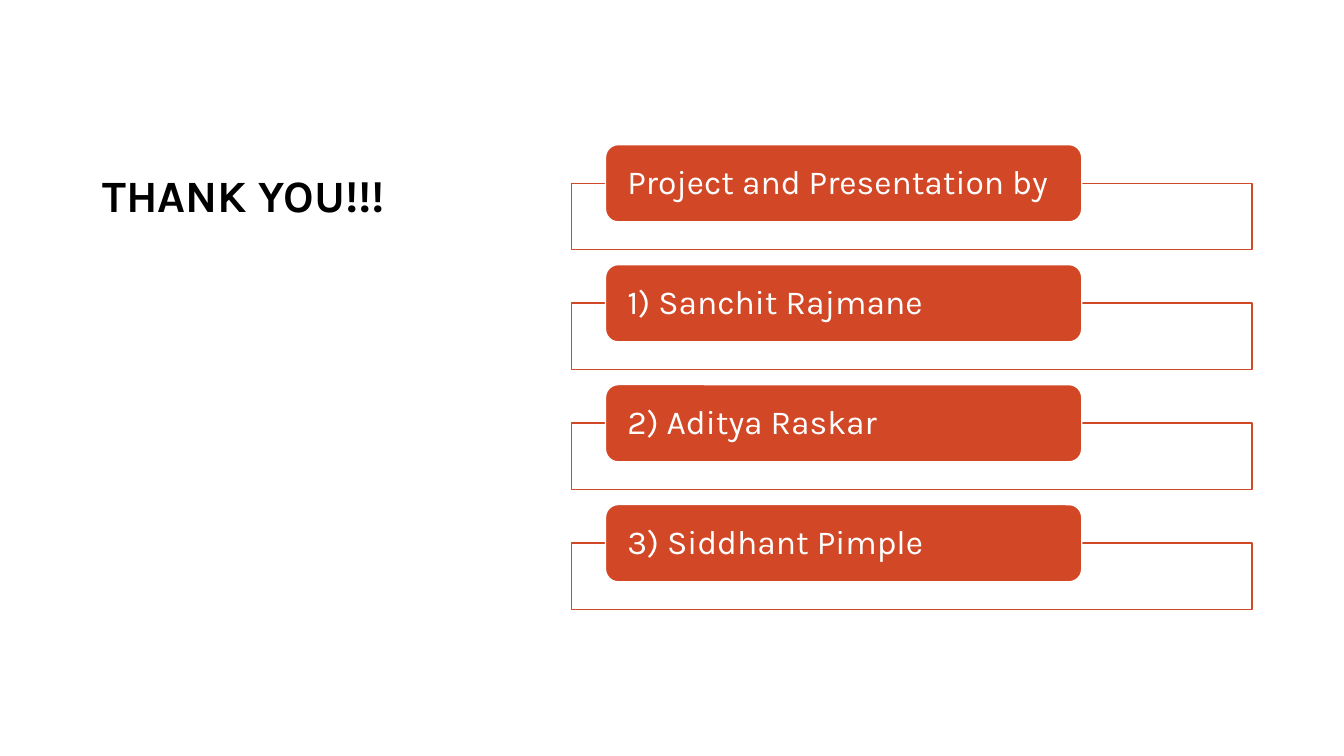
from dataclasses import dataclass

from pptx import Presentation
from pptx.dml.color import RGBColor
from pptx.enum.shapes import MSO_SHAPE
from pptx.enum.text import MSO_ANCHOR, PP_ALIGN
from pptx.util import Pt

RECTANGLE = MSO_SHAPE.RECTANGLE
ROUNDED = MSO_SHAPE.ROUNDED_RECTANGLE
MIDDLE = MSO_ANCHOR.MIDDLE
BOTTOM = MSO_ANCHOR.BOTTOM
LEFT = PP_ALIGN.LEFT


@dataclass(frozen=True)
class Theme:
    font: str = "Karla"
    accent: RGBColor = RGBColor(0xD2, 0x47, 0x26)
    paper: RGBColor = RGBColor(0xFF, 0xFF, 0xFF)
    ink: RGBColor = RGBColor(0, 0, 0)
    title_size: float = 32
    label_size: float = 24
    line_width: float = 1


def write(frame, text, *, font, size, color, bold=False, anchor=MIDDLE,
          side_inset=7.2, end_inset=3.6, space_after=0):
    frame.word_wrap = True
    frame.vertical_anchor = anchor
    frame.margin_left = frame.margin_right = Pt(side_inset)
    frame.margin_top = frame.margin_bottom = Pt(end_inset)
    paragraph = frame.paragraphs[0]
    paragraph.alignment = LEFT
    paragraph.line_spacing = 0.9
    paragraph.space_after = Pt(space_after)
    run = paragraph.add_run()
    run.text = text
    run.font.name = font
    run.font.size = Pt(size)
    run.font.bold = bold
    run.font.color.rgb = color


class SlideBuilder:
    def __init__(self, slide, theme):
        self.slide = slide
        self.theme = theme

    def title(self, text, left, top, width, height):
        heading = self.slide.shapes.add_textbox(
            Pt(left), Pt(top), Pt(width), Pt(height))
        write(heading.text_frame, text, font=self.theme.font,
              size=self.theme.title_size, color=self.theme.ink, bold=True,
              anchor=BOTTOM, space_after=6)

    def panel(self, kind, left, top, width, height, fill, line):
        panel = self.slide.shapes.add_shape(
            kind, Pt(left), Pt(top), Pt(width), Pt(height))
        panel.shadow.inherit = False
        panel.fill.solid()
        panel.fill.fore_color.rgb = fill
        panel.line.color.rgb = line
        panel.line.width = Pt(self.theme.line_width)
        return panel

    def credit(self, text, left, top, width):
        theme = self.theme
        label_height = 55.2
        self.panel(RECTANGLE, left, top, width, 47.5, theme.paper, theme.accent)
        label = self.panel(ROUNDED, left + 0.05 * width, top - label_height / 2,
                           0.7 * width, label_height, theme.accent, theme.paper)
        write(label.text_frame, text, font=theme.font, size=theme.label_size,
              color=theme.paper, side_inset=12.9, end_inset=0)


def main():
    deck = Presentation()
    deck.slide_width, deck.slide_height = Pt(960), Pt(540)
    builder = SlideBuilder(deck.slides.add_slide(deck.slide_layouts[6]), Theme())
    builder.title("THANK YOU!!!", 66, 36, 310, 126)
    credits = (
        "Project and Presentation by",
        "1) Sanchit Rajmane",
        "2) Aditya Raskar",
        "3) Siddhant Pimple",
    )
    first_top, pitch = 130.9, 85.7
    for row, text in enumerate(credits):
        builder.credit(text, 408.2, first_top + row * pitch, 486)
    deck.save("out.pptx")


if __name__ == "__main__":
    main()
